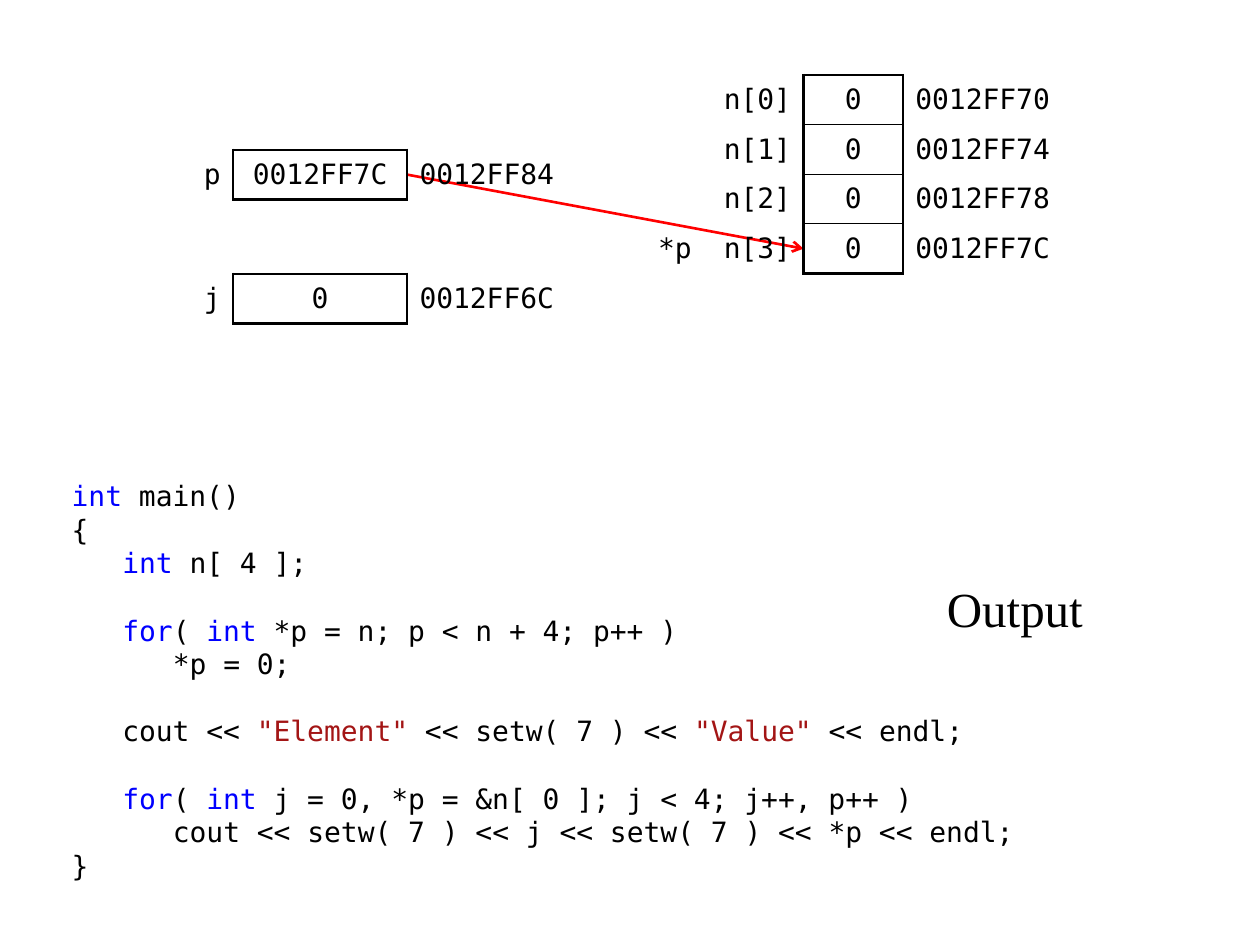
import pptx
import pptx.dml.color
import pptx.enum.shapes
import pptx.enum.text
import pptx.oxml
import pptx.oxml.ns
import pptx.util

Pt = pptx.util.Pt
ALIGN = pptx.enum.text.PP_ALIGN
ANCHOR = pptx.enum.text.MSO_ANCHOR
MONO, SERIF = "DejaVu Sans Mono", "Times New Roman"
BLACK, KEYWORD, STRING, POINTER = "000000", "0000FF", "A31515", "FF0000"
CELL, LINE_HEIGHT, CODE_INDENT = 28.35, 19.2, 28.9
THICK, THIN = 1.5, 0.75

INT, FOR = ("int", KEYWORD), ("for", KEYWORD)
CODE = [
    (0, 0, [INT, (" main()", BLACK)]),
    (0, 0, [("{", BLACK)]),
    (1, 0, [INT, (" n[ 4 ];", BLACK)]),
    (1, 1, [FOR, ("( ", BLACK), INT, (" *p = n; p < n + 4; p++ )", BLACK)]),
    (2, 0, [("*p = 0;", BLACK)]),
    (1, 1, [("cout << ", BLACK), ('"Element"', STRING), (" << setw( 7 ) << ", BLACK),
            ('"Value"', STRING), (" << endl;", BLACK)]),
    (1, 1, [FOR, ("( ", BLACK), INT, (" j = 0, *p = &n[ 0 ]; j < 4; j++, p++ )", BLACK)]),
    (2, 0, [("cout << setw( 7 ) << j << setw( 7 ) << *p << endl;", BLACK)]),
    (0, 0, [("}", BLACK)]),
]


def rgb(hex_value):
    """Return the colour for a hex string."""
    return pptx.dml.color.RGBColor.from_string(hex_value)


def apply(target, formats):
    """Set each attribute named in formats on target."""
    for name, value in formats.items():
        setattr(target, name, value)


def place(shape, box):
    """Move and size a shape to a box given in points."""
    apply(shape, dict(zip(("left", "top", "width", "height"), map(Pt, box))))


def add_run(paragraph, text, colour=BLACK, font=MONO, size=16):
    """Append formatted text to a paragraph."""
    run = paragraph.add_run()
    run.text = text
    apply(run.font, {"name": font, "size": Pt(size), "bold": False})
    run.font.color.rgb = rgb(colour)


def set_borders(cell, widths):
    """Draw the cell edges that have a width and clear the others."""
    properties = cell._tc.get_or_add_tcPr()
    for position, side in enumerate("LRTB"):
        width = widths.get(side, 0)
        paint = f'<a:solidFill><a:srgbClr val="{BLACK}"/></a:solidFill>' if width else "<a:noFill/>"
        properties.insert(position, pptx.oxml.parse_xml(
            f'<a:ln{side} {pptx.oxml.ns.nsdecls("a")} w="{Pt(width)}">{paint}</a:ln{side}>'))


def add_memory_table(slide, box, widths, rows, margin):
    """Draw variables as rows of name, boxed value and address."""
    table = slide.shapes.add_table(len(rows), len(widths), *map(Pt, box)).table
    apply(table, {"first_row": False, "horz_banding": False})
    for column, width in zip(table.columns, widths):
        column.width = Pt(width)
    value_column = len(widths) - 2
    for row_index, row in enumerate(rows):
        table.rows[row_index].height = Pt(CELL)
        value_edges = {"L": THICK, "R": THICK,
                       "T": THIN if row_index else THICK,
                       "B": THIN if row_index < len(rows) - 1 else THICK}
        edges = {value_column - 1: {"R": THICK}, value_column: value_edges,
                 value_column + 1: {"L": THICK}}
        for column_index, text in enumerate(row):
            cell = table.cell(row_index, column_index)
            apply(cell, {"margin_left": Pt(7.2), "margin_right": Pt(5.76 if column_index >= value_column else 7.2),
                         "margin_top": Pt(margin), "margin_bottom": Pt(margin),
                         "vertical_anchor": ANCHOR.MIDDLE})
            if column_index == value_column:
                cell.margin_left = cell.margin_right
            cell.fill.background()
            set_borders(cell, edges.get(column_index, {}))
            if text:
                paragraph = cell.text_frame.paragraphs[0]
                paragraph.alignment = (ALIGN.RIGHT if column_index < value_column else
                                       ALIGN.CENTER if column_index == value_column else ALIGN.LEFT)
                add_run(paragraph, text)


def add_pointer_arrow(slide, start, end):
    """Draw the arrow from a pointer to the element it refers to."""
    arrow = slide.shapes.add_connector(
        pptx.enum.shapes.MSO_CONNECTOR.STRAIGHT, *map(Pt, start + end))
    arrow.line.color.rgb = rgb(POINTER)
    arrow.line.width = Pt(THICK)
    namespace = pptx.oxml.ns.nsdecls("a")
    arrow.line._get_or_add_ln().append(
        pptx.oxml.parse_xml(f'<a:tailEnd {namespace} type="arrow"/>'))
    arrow._element.spPr.append(pptx.oxml.parse_xml(f"<a:effectLst {namespace}/>"))


def fill_code(body, box):
    """Set the program listing in the body placeholder."""
    place(body, box)
    frame = body.text_frame
    apply(frame, {"word_wrap": True, "auto_size": pptx.enum.text.MSO_AUTO_SIZE.NONE,
                  "vertical_anchor": ANCHOR.TOP})
    for index, (depth, gap, parts) in enumerate(CODE):
        paragraph = frame.add_paragraph() if index else frame.paragraphs[0]
        apply(paragraph, {"line_spacing": Pt(LINE_HEIGHT), "space_after": Pt(0),
                          "space_before": Pt(gap * LINE_HEIGHT), "alignment": ALIGN.LEFT})
        properties = paragraph._p.get_or_add_pPr()
        properties.set("marL", str(Pt(depth * CODE_INDENT)))
        properties.set("indent", "0")
        properties.append(pptx.oxml.parse_xml(f'<a:buNone {pptx.oxml.ns.nsdecls("a")}/>'))
        for text, colour in parts:
            add_run(paragraph, text, colour)


def add_output_label(slide, box):
    """Write the label for the program output."""
    frame = slide.shapes.add_textbox(*map(Pt, box)).text_frame
    frame.word_wrap = True
    frame.paragraphs[0].alignment = ALIGN.CENTER
    add_run(frame.paragraphs[0], "Output", font=SERIF, size=28)


def main():
    """Build the slide and save it."""
    deck = pptx.Presentation()
    apply(deck, {"slide_width": Pt(720), "slide_height": Pt(540)})
    slide = deck.slides.add_slide(deck.slide_layouts[1])
    title = slide.shapes.title._element
    title.getparent().remove(title)

    array_left, array_top = 360, 42.9
    array_widths = [42.5, 56.7, 56.7, 99.2]
    variable_left, pointer_top = 105, 85.6
    variable_widths = [CELL, 99.2, 99.2]
    array_rows = [("*p" if i == 3 else "", f"n[{i}]", "0", f"0012FF{address}")
                  for i, address in enumerate(("70", "74", "78", "7C"))]
    variables = [("p", "0012FF7C", "0012FF84"), ("j", "0", "0012FF6C")]

    fill_code(slide.placeholders[1], (33.8, 270, 553, 241))
    add_pointer_arrow(slide, (variable_left + sum(variable_widths[:2]), pointer_top + CELL / 2),
                      (array_left + sum(array_widths[:2]), array_top + 3.5 * CELL))
    add_output_label(slide, (516.2, 326.9, 127.5, 42.5))
    add_memory_table(slide, (array_left, array_top, sum(array_widths), 4 * CELL),
                     array_widths, array_rows, 2.88)
    for index, variable in enumerate(variables):
        add_memory_table(slide, (variable_left, pointer_top + index * 2.5 * CELL,
                                 sum(variable_widths), CELL), variable_widths, [variable], 0)
    deck.save("out.pptx")


if __name__ == "__main__":
    main()
